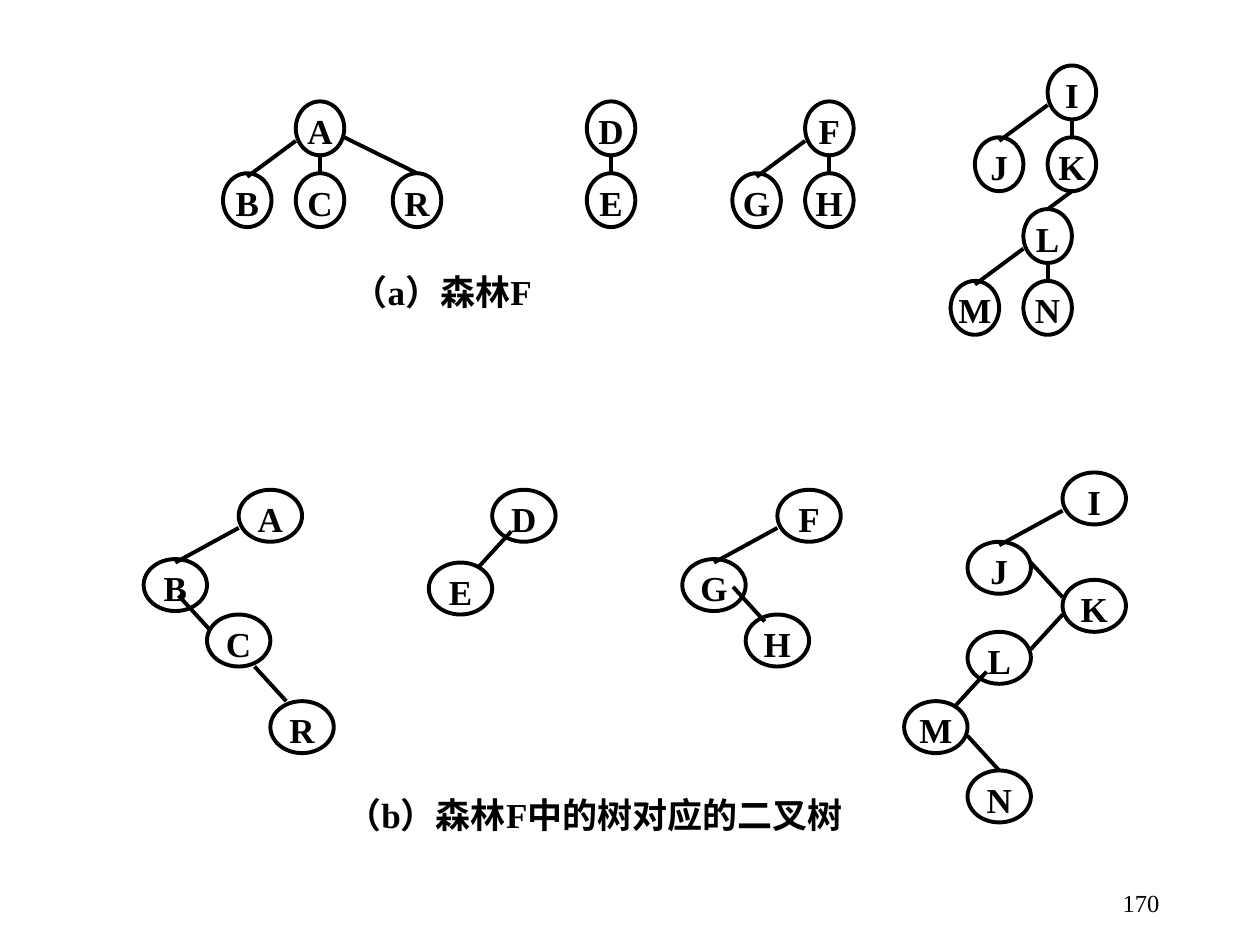
"""Draw a forest of four trees and the binary trees that correspond to it."""
from dataclasses import dataclass
from typing import Any, NamedTuple

import pptx
import pptx.dml.color
import pptx.enum.shapes
import pptx.enum.text
import pptx.oxml.ns
import pptx.util
from lxml import etree


@dataclass(frozen=True)
class Theme:
    ink: pptx.dml.color.RGBColor = pptx.dml.color.RGBColor(0, 0, 0)
    font: str = "Times New Roman"
    label_size: float = 20
    number_size: float = 14
    stroke: float = 2.25


class Node(NamedTuple):
    label: str
    column: float
    row: float


class Edge(NamedTuple):
    column: float
    row: float
    columns: float
    rows: float


class Area(NamedTuple):
    left: float
    top: float
    width: float
    height: float


@dataclass(frozen=True)
class Grid:
    left: float
    top: float
    column: float
    row: float
    node_rows: float
    node_columns: float = 2

    def x(self, column: float) -> int:
        return pptx.util.Inches(self.left + column * self.column)

    def y(self, row: float) -> int:
        return pptx.util.Inches(self.top + row * self.row)


THEME = Theme()
WIDTH, HEIGHT = pptx.util.Inches(10), pptx.util.Inches(7.5)
ALIGN = pptx.enum.text.PP_ALIGN
ANCHOR = pptx.enum.text.MSO_ANCHOR

FOREST_GRID = Grid(left=1.77, top=0.52, column=0.1925, row=0.285, node_rows=1.5)
FOREST_NODES = [
    Node("A", 3, 1), Node("B", 0, 3), Node("C", 3, 3), Node("R", 7, 3),
    Node("D", 15, 1), Node("E", 15, 3),
    Node("F", 24, 1), Node("G", 21, 3), Node("H", 24, 3),
    Node("I", 34, 0), Node("J", 31, 2), Node("K", 34, 2),
    Node("L", 33, 4), Node("M", 30, 6), Node("N", 33, 6),
]
FOREST_EDGES = (
    [Edge(node.column, node.row + 1.1, -2, 1) for node in FOREST_NODES if node.label in "AFIL"]
    + [Edge(node.column + 1, node.row + 1.5, 0, 0.5) for node in FOREST_NODES if node.label in "ADFIL"]
    + [Edge(5, 2, 3, 1), Edge(35, 3.5, -1, 0.5)]
)

BINARY_GRID = Grid(left=1.14, top=3.75, column=0.2515, row=0.1375, node_rows=3)
BINARY_NODES = [
    Node("A", 3, 1), Node("B", 0, 5), Node("C", 2, 8.2), Node("R", 4, 13.2),
    Node("D", 11, 1), Node("E", 9, 5.2),
    Node("F", 20, 1), Node("G", 17, 5), Node("H", 19, 8.2),
    Node("I", 29, 0), Node("J", 26, 4), Node("K", 29, 6.2),
    Node("L", 26, 9.2), Node("M", 24, 13.2), Node("N", 26, 17.2),
]
BINARY_EDGES = (
    [Edge(node.column, node.row + 2.2, -2, 2) for node in BINARY_NODES if node.label in "AFI"]
    + [Edge(column, row, 1, 2) for column, row in
       [(1.1, 7.1), (3.5, 11.2), (18.6, 6.6), (28, 5.2), (26, 15.2)]]
    + [Edge(column, row, -1, 2) for column, row in [(11.6, 3.4), (29, 8.2), (26.6, 11.5)]]
)


def write_text(frame: Any, text: str, *, size: float = THEME.label_size, bold: bool = True,
               align: Any = ALIGN.CENTER, anchor: Any = ANCHOR.TOP, inset: bool = True) -> None:
    """Put one formatted paragraph in a text frame."""
    frame.word_wrap = True
    frame.vertical_anchor = anchor
    frame.margin_left = frame.margin_right = pptx.util.Inches(0.1 if inset else 0)
    frame.margin_top = frame.margin_bottom = pptx.util.Inches(0.05 if inset else 0)
    para = frame.paragraphs[0]
    para.alignment = align
    span = para.add_run()
    span.text = text
    span.font.name = THEME.font
    span.font.size = pptx.util.Pt(size)
    span.font.bold = bold
    span.font.color.rgb = THEME.ink


def add_text(shapes: Any, text: str, area: Area, **style: Any) -> None:
    """Add a text box whose area is given as shares of the slide."""
    box = shapes.add_textbox(int(area.left * WIDTH), int(area.top * HEIGHT),
                             int(area.width * WIDTH), int(area.height * HEIGHT))
    write_text(box.text_frame, text, **style)


def set_stroke(line: Any) -> None:
    """Give an outline or a connector the common stroke."""
    line.color.rgb = THEME.ink
    line.width = pptx.util.Pt(THEME.stroke)


def draw_node(shapes: Any, grid: Grid, node: Node) -> None:
    """Draw a labelled ellipse on the grid."""
    ellipse = shapes.add_shape(
        pptx.enum.shapes.MSO_SHAPE.OVAL, grid.x(node.column), grid.y(node.row),
        pptx.util.Inches(grid.node_columns * grid.column), pptx.util.Inches(grid.node_rows * grid.row))
    ellipse.shadow.inherit = False
    ellipse.fill.background()
    set_stroke(ellipse.line)
    write_text(ellipse.text_frame, node.label, inset=False)


def draw_edge(shapes: Any, grid: Grid, edge: Edge) -> None:
    """Draw a straight branch on the grid."""
    branch = shapes.add_connector(
        pptx.enum.shapes.MSO_CONNECTOR.STRAIGHT, grid.x(edge.column), grid.y(edge.row),
        grid.x(edge.column + edge.columns), grid.y(edge.row + edge.rows))
    set_stroke(branch.line)
    etree.SubElement(branch._element.spPr, pptx.oxml.ns.qn("a:effectLst"))


def draw_trees(page: Any, grid: Grid, nodes: list[Node], edges: list[Edge],
               caption: str, area: Area) -> None:
    """Draw one group of trees with its caption."""
    shapes = page.shapes.add_group_shape().shapes
    for node in nodes:
        draw_node(shapes, grid, node)
    for edge in edges:
        draw_edge(shapes, grid, edge)
    add_text(shapes, caption, area, align=ALIGN.JUSTIFY)


def main() -> None:
    """Build and save the deck."""
    deck = pptx.Presentation()
    deck.slide_width, deck.slide_height = WIDTH, HEIGHT
    page = deck.slides.add_slide(deck.slide_layouts[6])
    add_text(page.shapes, "170", Area(0.71, 0.93, 0.22, 0.05), size=THEME.number_size,
             bold=False, align=ALIGN.RIGHT, anchor=ANCHOR.MIDDLE)
    draw_trees(page, FOREST_GRID, FOREST_NODES, FOREST_EDGES,
               "（a）森林F", Area(0.27, 0.28, 0.29, 0.08))
    draw_trees(page, BINARY_GRID, BINARY_NODES, BINARY_EDGES,
               "（b）森林F中的树对应的二叉树", Area(0.265, 0.833, 0.5, 0.055))
    deck.save("out.pptx")


if __name__ == "__main__":
    main()
